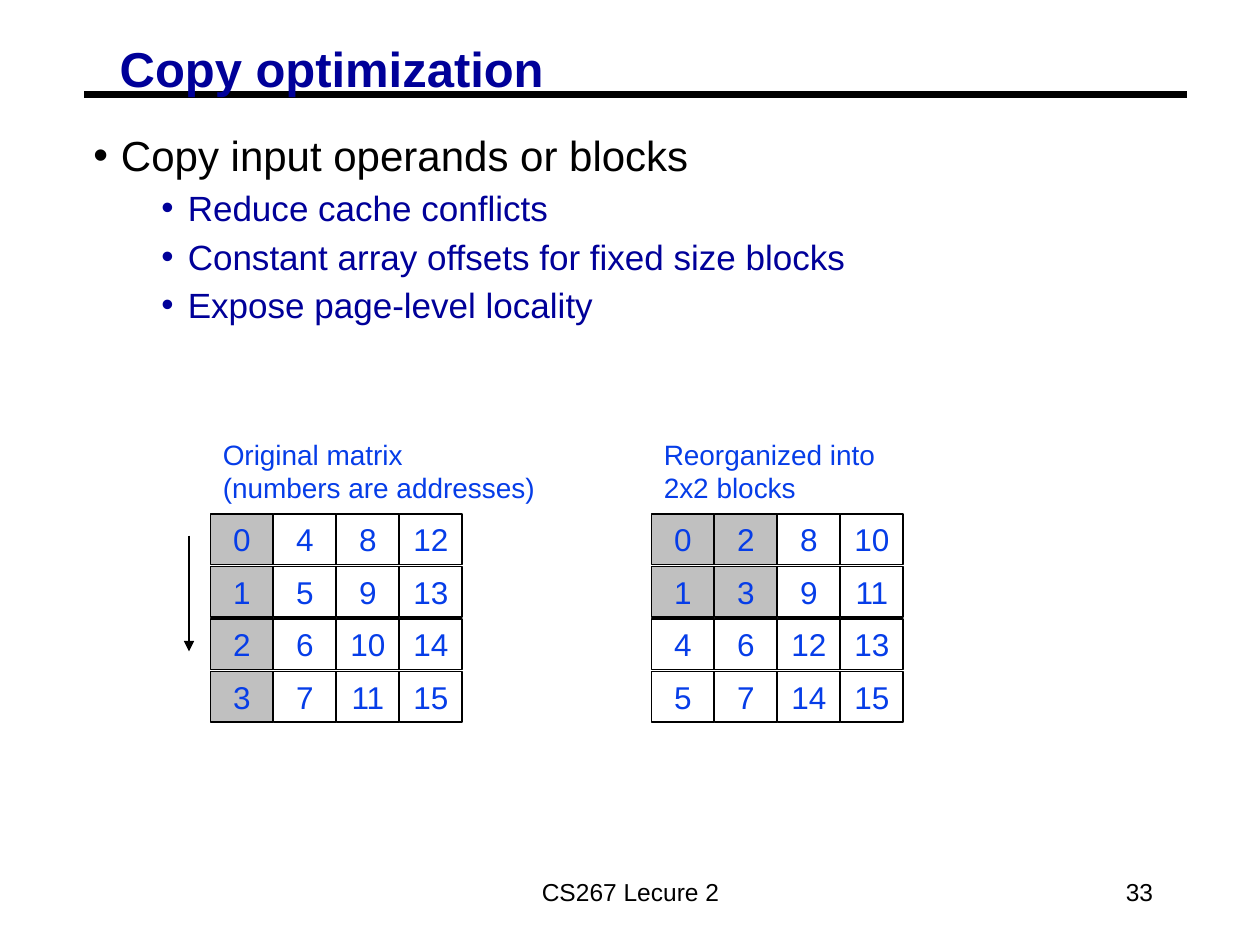
from dataclasses import dataclass

from lxml import etree
from pptx import Presentation
from pptx import util as u
from pptx.dml.color import RGBColor
from pptx.enum import shapes, text
from pptx.oxml.ns import qn


@dataclass(frozen=True)
class Theme:
    font: str = "Arial"
    ink: str = "000000"
    navy: str = "000099"
    blue: str = "063DE8"
    shade: str = "C0C0C0"
    title_size: int = 28
    point_size: int = 24
    subpoint_size: int = 20
    cell_size: int = 18
    caption_size: int = 16
    footer_size: int = 14


ROW_PITCH = 5 / 12
CELL_WIDTH, CELL_HEIGHT = 0.5, 0.4
MATRIX_TOP, CAPTION_TOP = 4.08, 3.42

POINTS = [
    (0, "Copy input operands or blocks"),
    (1, "Reduce cache conflicts"),
    (1, "Constant array offsets for fixed size blocks"),
    (1, "Expose page-level locality"),
]
COLUMN_MAJOR = [[row + 4 * column for column in range(4)] for row in range(4)]
BLOCKED = [[0, 2, 8, 10], [1, 3, 9, 11], [4, 6, 12, 13], [5, 7, 14, 15]]


def rgb(value):
    return RGBColor.from_string(value)


def write(paragraph, content, *, font, size, color, bold=False, align=None, before=0):
    paragraph.text = content
    paragraph.alignment = align
    paragraph.space_before = u.Pt(before)
    paragraph.font.name = font
    paragraph.font.size = u.Pt(size)
    paragraph.font.bold = bold
    paragraph.font.color.rgb = rgb(color)


def set_bullet(paragraph, color, margin, hanging):
    properties = paragraph._p.get_or_add_pPr()
    properties.set("marL", str(u.Inches(margin)))
    properties.set("indent", str(-u.Inches(hanging)))
    bullet_color = etree.SubElement(properties, qn("a:buClr"))
    etree.SubElement(bullet_color, qn("a:srgbClr"), val=color)
    etree.SubElement(properties, qn("a:buChar"), char="•")


def set_frame(frame, inset=(0.1, 0.05), anchor=text.MSO_ANCHOR.TOP, wrap=True):
    frame.margin_left = frame.margin_right = u.Inches(inset[0])
    frame.margin_top = frame.margin_bottom = u.Inches(inset[1])
    frame.vertical_anchor = anchor
    frame.word_wrap = wrap
    frame.auto_size = text.MSO_AUTO_SIZE.NONE


class SlideBuilder:
    """Holds the theme and the slide being drawn."""

    def __init__(self, slide, theme):
        self.slide = slide
        self.theme = theme

    def place(self, placeholder, left, top, width, height):
        placeholder.left, placeholder.top = u.Inches(left), u.Inches(top)
        placeholder.width, placeholder.height = u.Inches(width), u.Inches(height)
        set_frame(placeholder.text_frame, inset=(0.07, 0.03))
        return placeholder.text_frame

    def title(self, content):
        frame = self.place(self.slide.shapes.title, 0.88, 0.34, 3.51, 0.46)
        frame.word_wrap = False
        heading = frame.paragraphs[0]
        write(heading, content, font=self.theme.font, size=self.theme.title_size,
              color=self.theme.navy, bold=True, align=text.PP_ALIGN.LEFT)
        heading.line_spacing = 0.87

    def bullets(self, points):
        theme = self.theme
        levels = [
            (theme.ink, theme.point_size, 0.22, 0.22),
            (theme.navy, theme.subpoint_size, 0.75, 0.21),
        ]
        frame = self.place(self.slide.placeholders[1], 0.67, 1, 8.75, 1.61)
        for index, (level, content) in enumerate(points):
            point = frame.add_paragraph() if index else frame.paragraphs[0]
            color, size, margin, hanging = levels[level]
            point.level = level
            set_bullet(point, color, margin, hanging)
            write(point, content, font=theme.font, size=size, color=color,
                  before=3.7 if index else 0)

    def line(self, start, end, weight, arrow=False):
        connector = self.slide.shapes.add_connector(
            shapes.MSO_CONNECTOR.STRAIGHT, *map(u.Inches, start + end))
        connector.line.color.rgb = rgb(self.theme.ink)
        connector.line.width = u.Pt(weight)
        if arrow:
            etree.SubElement(connector.line._get_or_add_ln(), qn("a:tailEnd"),
                             type="triangle")
        etree.SubElement(connector._element.spPr, qn("a:effectLst"))
        return connector

    def title_rule(self):
        rule = self.line((0.67, 0.75), (9.42, 0.75), 3.75)
        # The rule runs behind the title's descenders.
        self.slide.shapes._spTree.insert(2, rule._element)

    def label(self, lines, left, top, width, height, *, size, color,
              align=text.PP_ALIGN.LEFT, **frame_format):
        box = self.slide.shapes.add_textbox(*map(u.Inches, (left, top, width, height)))
        set_frame(box.text_frame, **frame_format)
        for index, content in enumerate(lines):
            paragraph = (box.text_frame.add_paragraph() if index
                         else box.text_frame.paragraphs[0])
            write(paragraph, content, font=self.theme.font, size=size,
                  color=color, align=align)

    def cell(self, address, left, top, shaded):
        box = self.slide.shapes.add_shape(
            shapes.MSO_SHAPE.RECTANGLE,
            *map(u.Inches, (left, top, CELL_WIDTH, CELL_HEIGHT)))
        box.shadow.inherit = False
        if shaded:
            box.fill.solid()
            box.fill.fore_color.rgb = rgb(self.theme.shade)
        else:
            box.fill.background()
        box.line.color.rgb = rgb(self.theme.ink)
        box.line.width = u.Pt(1)
        set_frame(box.text_frame)
        write(box.text_frame.paragraphs[0], str(address), font=self.theme.font,
              size=self.theme.cell_size, color=self.theme.blue,
              align=text.PP_ALIGN.CENTER)

    def matrix(self, addresses, left, shaded, caption, caption_width):
        """Draw a grid of addresses, with those in shaded filled, under a caption."""
        for row, values in enumerate(addresses):
            for column, address in enumerate(values):
                self.cell(address, left + column * CELL_WIDTH,
                          MATRIX_TOP + row * ROW_PITCH, address in shaded)
        self.label(caption, left, CAPTION_TOP, caption_width, 0.64,
                   size=self.theme.caption_size, color=self.theme.blue, wrap=False)

    def footer(self, content, left, width, align):
        self.label([content], left, 6.83, width, 0.5, size=self.theme.footer_size,
                   color=self.theme.ink, align=align, anchor=text.MSO_ANCHOR.MIDDLE)


def main():
    deck = Presentation()
    deck.slide_width, deck.slide_height = u.Inches(10), u.Inches(7.5)
    page = SlideBuilder(deck.slides.add_slide(deck.slide_layouts[1]), Theme())

    page.title_rule()
    page.title("Copy optimization")
    page.bullets(POINTS)

    first_block = range(4)
    page.matrix(COLUMN_MAJOR, 1.67, first_block,
                ["Original matrix", "(numbers are addresses)"], 2.67)
    page.line((1.5, 4.25), (1.5, 5.17), 1, arrow=True)
    page.matrix(BLOCKED, 5.17, first_block, ["Reorganized into", "2x2 blocks"], 1.87)

    page.footer("CS267 Lecure 2", 3.42, 3.17, text.PP_ALIGN.CENTER)
    page.footer("33", 7.17, 2.08, text.PP_ALIGN.RIGHT)
    deck.save("out.pptx")


if __name__ == "__main__":
    main()
